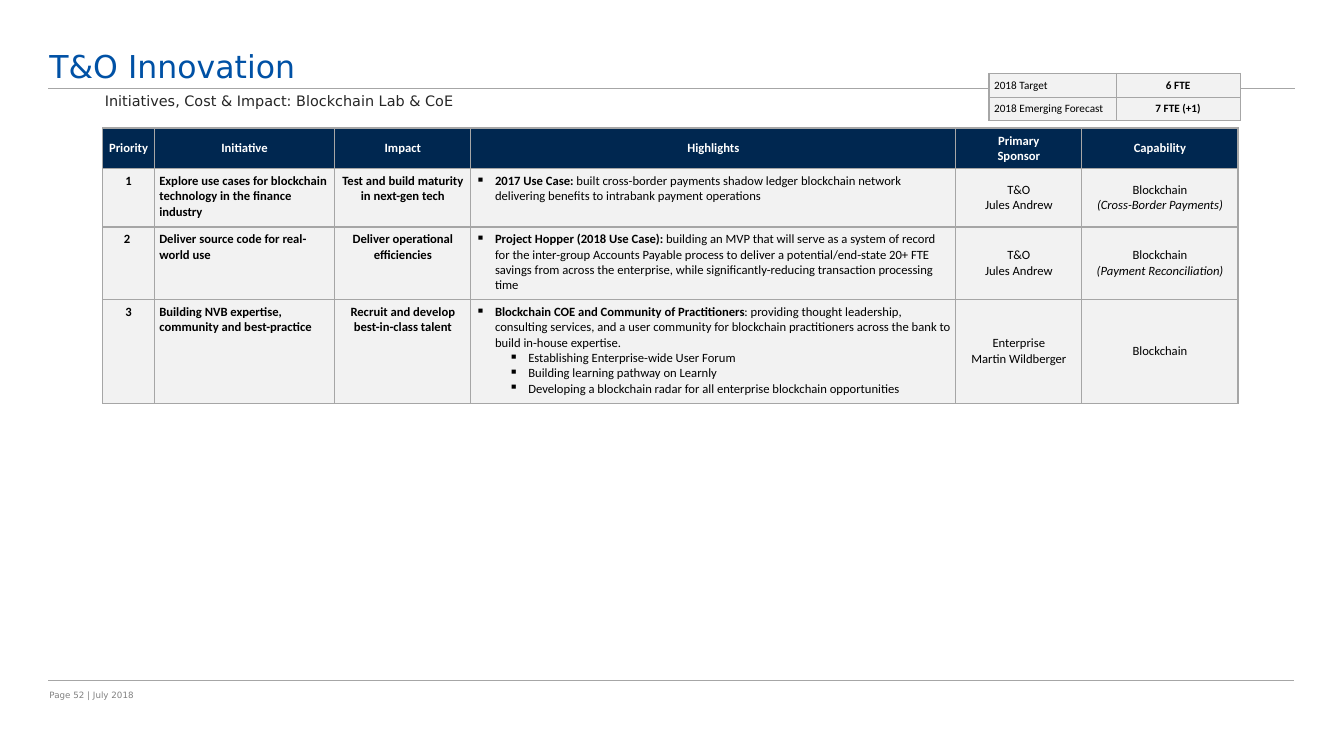
import pptx
import pptx.util
import pptx.dml.color
import pptx.enum.shapes
import pptx.enum.text
import pptx.oxml
import pptx.oxml.ns
from lxml import etree

Inches = pptx.util.Inches
Pt = pptx.util.Pt
RGBColor = pptx.dml.color.RGBColor
Align = pptx.enum.text.PP_ALIGN
Anchor = pptx.enum.text.MSO_ANCHOR
qn = pptx.oxml.ns.qn

BLUE = RGBColor(0x00, 0x51, 0xA5)
NAVY = RGBColor(0x00, 0x27, 0x50)
DARK = RGBColor(0x26, 0x26, 0x26)
GREY = RGBColor(0x80, 0x80, 0x80)
RULE = RGBColor(0xA6, 0xA6, 0xA6)
PALE = RGBColor(0xF2, 0xF2, 0xF2)
WHITE = RGBColor(0xFF, 0xFF, 0xFF)
BLACK = RGBColor(0x00, 0x00, 0x00)


class Page:
    head = "DejaVu Sans"
    body = "Calibri"
    pad = 0.05

    def __init__(self, slide):
        self.slide = slide

    def line(self, left, top, right, width):
        rule = self.slide.shapes.add_connector(
            pptx.enum.shapes.MSO_CONNECTOR.STRAIGHT,
            Inches(left), Inches(top), Inches(right), Inches(top))
        rule.line.color.rgb = RULE
        rule.line.width = Pt(width)
        etree.SubElement(rule._element.spPr, qn("a:effectLst"))

    def run(self, para, text, font, size, color, style=""):
        """Add one run; style may hold b for bold and i for italic."""
        run = para.add_run()
        run.text = text
        run.font.name = font
        run.font.size = Pt(size)
        run.font.color.rgb = color
        run.font.bold = "b" in style
        run.font.italic = "i" in style

    def text(self, box, text, size, color, anchor):
        frame = self.slide.shapes.add_textbox(*map(Inches, box)).text_frame
        frame.word_wrap = True
        frame.vertical_anchor = anchor
        frame.margin_left = frame.margin_right = 0
        frame.margin_top = frame.margin_bottom = 0
        self.run(frame.paragraphs[0], text, self.head, size, color)

    def edge(self, cell):
        """Draw the four borders of a cell."""
        props = cell._tc.get_or_add_tcPr()
        for side in ("lnL", "lnR", "lnT", "lnB"):
            line = etree.SubElement(props, qn("a:" + side), w=str(Pt(1)))
            fill = etree.SubElement(line, qn("a:solidFill"))
            etree.SubElement(fill, qn("a:srgbClr"), val=str(RULE))

    def bullet(self, para, left):
        props = para._p.get_or_add_pPr()
        props.set("marL", str(Inches(left)))
        props.set("indent", str(Inches(-0.19)))
        etree.SubElement(props, qn("a:buChar"), char="▪")

    def cell(self, cell, paras, size, color, fill, align, anchor, marks):
        """Fill a cell; each paragraph is a list of (text, style) runs."""
        cell.margin_left = cell.margin_right = Inches(self.pad)
        cell.margin_top = cell.margin_bottom = Inches(self.pad)
        cell.vertical_anchor = anchor
        self.edge(cell)
        cell.fill.solid()
        cell.fill.fore_color.rgb = fill
        frame = cell.text_frame
        for n, runs in enumerate(paras):
            para = frame.add_paragraph() if n else frame.paragraphs[0]
            para.alignment = align
            if marks:
                para.level = min(n, 1)
                self.bullet(para, 0.52 if n else 0.19)
            for text, style in runs:
                for k, part in enumerate(text.split("\n")):
                    if k:
                        para.add_line_break()
                    self.run(para, part, self.body, size, color, style)

    def table(self, left, top, cols, rows, data, size, heads=0,
              lefts=(), mids=(), marks=()):
        """Add a table; lefts, mids and marks list the columns that are
        left-aligned, centred in height and bulleted."""
        grid = self.slide.shapes.add_table(
            len(rows), len(cols), Inches(left), Inches(top),
            Inches(sum(cols)), Inches(sum(rows))).table
        grid.first_row = grid.horz_banding = False
        for col, width in zip(grid.columns, cols):
            col.width = Inches(width)
        for row, height in zip(grid.rows, rows):
            row.height = Inches(height)
        for r, line in enumerate(data):
            top_row = r < heads
            for c, paras in enumerate(line):
                flush = c in lefts and not top_row
                mid = c in mids or top_row
                self.cell(grid.cell(r, c), paras, size,
                          WHITE if top_row else BLACK,
                          NAVY if top_row else PALE,
                          Align.LEFT if flush else Align.CENTER,
                          Anchor.MIDDLE if mid else Anchor.TOP,
                          c in marks and not top_row)


def bold(*lines):
    return [[(line, "b")] for line in lines]


def plain(*lines):
    return [[(line, "")] for line in lines]


def use(name, note):
    """A capability with its use in italics below."""
    return [[(name, "")], [(note, "i")]]


def point(lead, rest, *subs):
    """A highlight with a bold lead, and plain points below it."""
    return [[(lead, "b"), (rest, "")]] + plain(*subs)


PLAN = [
    [bold("Priority"), bold("Initiative"), bold("Impact"),
     bold("Highlights"), bold("Primary", "Sponsor"), bold("Capability")],
    [bold("1"),
     bold("Explore use cases for blockchain technology in the finance "
          "industry"),
     bold("Test and build maturity\nin next-gen tech"),
     point("2017 Use Case: ",
           "built cross-border payments shadow ledger blockchain network "
           "delivering benefits to intrabank payment operations"),
     plain("T&O", "Jules Andrew"),
     use("Blockchain", "(Cross-Border Payments)")],
    [bold("2 "),
     bold("Deliver source code for real-world use"),
     bold("Deliver operational efficiencies"),
     point("Project Hopper (2018 Use Case): ",
           "building an MVP that will serve as a system of record for the "
           "inter-group Accounts Payable process to deliver a "
           "potential/end-state 20+ FTE savings from across the enterprise, "
           "while significantly-reducing transaction processing time"),
     plain("T&O", "Jules Andrew"),
     use("Blockchain", "(Payment Reconciliation)")],
    [bold("3"),
     bold("Building NVB expertise, community and best-practice"),
     bold("Recruit and develop\nbest-in-class talent"),
     point("Blockchain COE and Community of Practitioners",
           ": providing thought leadership, consulting services, and a user "
           "community for blockchain practitioners across the bank to build "
           "in-house expertise.",
           "Establishing Enterprise-wide User Forum",
           "Building learning pathway on Learnly",
           "Developing a blockchain radar for all enterprise blockchain "
           "opportunities"),
     plain("Enterprise", "Martin Wildberger"),
     plain("Blockchain")],
]

STAFF = [
    [plain("2018 Target"), bold("6 FTE")],
    [plain("2018 Emerging Forecast"), bold("7 FTE (+1)")],
]


def main():
    deck = pptx.Presentation()
    deck.slide_width = Inches(13.33)
    deck.slide_height = Inches(7.5)
    page = Page(deck.slides.add_slide(deck.slide_layouts[6]))

    page.line(0.48, 0.88, 12.84, 1)
    page.text((0.49, 6.77, 2.85, 0.18), "Page 52 | July 2018", 6.2, GREY,
              Anchor.BOTTOM)
    page.line(0.48, 6.75, 12.83, 0.75)
    page.text((0.49, 0.39, 12.27, 0.45), "T&O Innovation", 22.5, BLUE,
              Anchor.BOTTOM)
    page.text((1.04, 0.91, 11.2, 0.17),
              "Initiatives, Cost & Impact: Blockchain Lab & CoE", 10.3, DARK,
              Anchor.TOP)
    page.table(1.02, 1.27, (0.51, 1.79, 1.35, 4.81, 1.25, 1.55),
               (0.4, 0.58, 0.72, 1.03), PLAN, 9, heads=1,
               lefts=(1, 3), mids=(4, 5), marks=(3,))
    page.table(9.81, 0.73, (1.26, 1.23), (0.23, 0.23), STAFF, 8,
               lefts=(0,), mids=(1,))
    deck.save("out.pptx")


if __name__ == "__main__":
    main()
